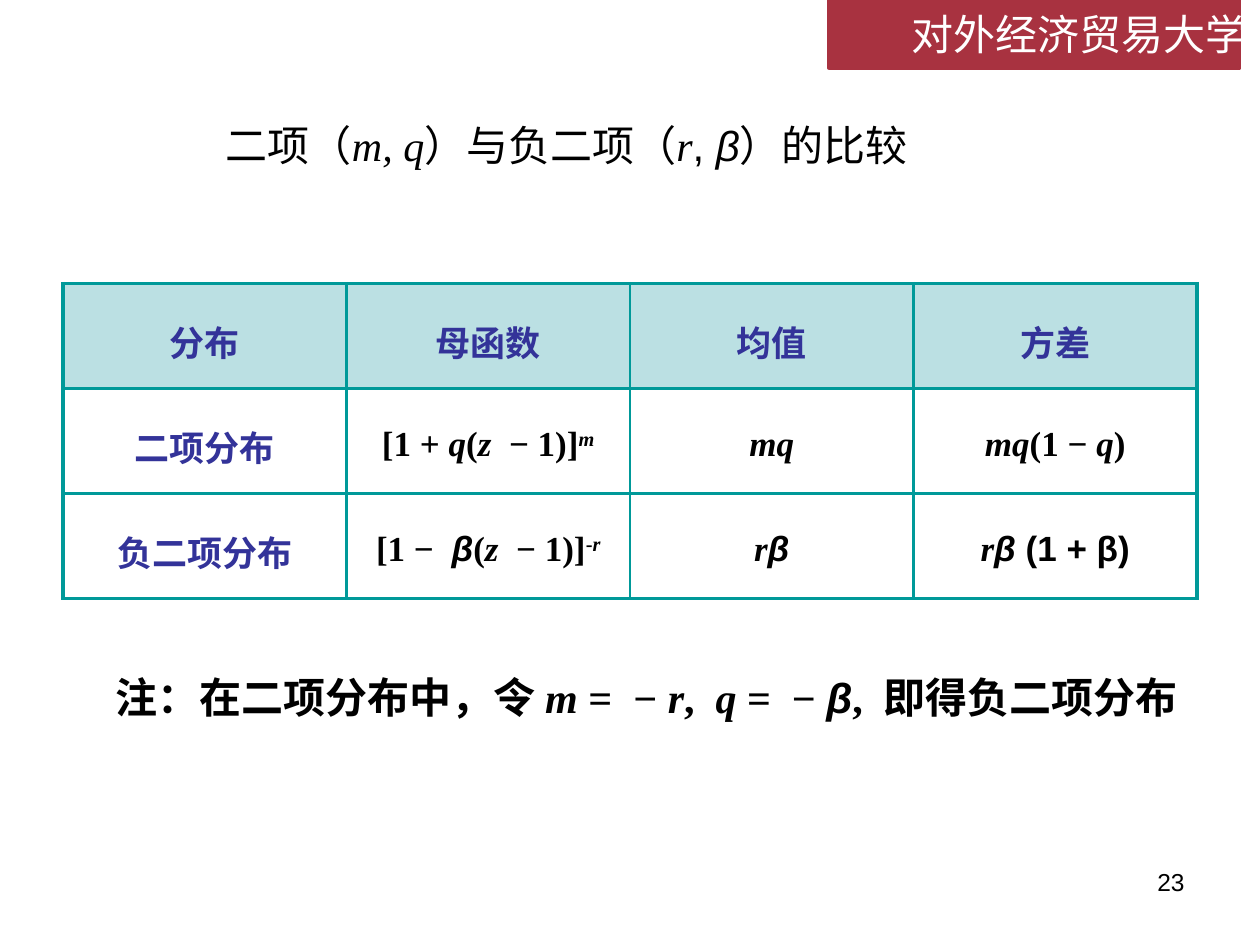
"""Build a slide comparing the binomial and negative binomial distributions."""
import lxml.etree
import pptx
import pptx.dml.color
import pptx.enum.shapes
import pptx.enum.text
import pptx.oxml.ns
import pptx.util

Inches = pptx.util.Inches
Pt = pptx.util.Pt
ALIGN = pptx.enum.text.PP_ALIGN
qn = pptx.oxml.ns.qn
SERIF, SANS, CHINESE = "Times New Roman", "Arial", "Noto Sans CJK SC"
COLORS = {
    "banner": "A83240",
    "white": "FFFFFF",
    "black": "000000",
    "label": "333399",
    "header": "BBE0E3",
    "border": "009999",
}


def color(name):
    return pptx.dml.color.RGBColor.from_string(COLORS[name])


def write(paragraph, runs, size, color_name="black", bold=False, font_name=SERIF):
    """Add (text, flags) runs: i is italic, a is Arial, s is superscript."""
    for text, flags in runs:
        run = paragraph.add_run()
        run.text = text
        values = {
            "size": Pt(size),
            "bold": bold,
            "italic": "i" in flags,
            "name": SANS if "a" in flags else font_name,
        }
        for attribute, value in values.items():
            setattr(run.font, attribute, value)
        run.font.color.rgb = color(color_name)
        properties = run._r.get_or_add_rPr()
        lxml.etree.SubElement(properties, qn("a:ea"), typeface=CHINESE)
        if "s" in flags:
            properties.set("baseline", "30000")


presentation = pptx.Presentation()
presentation.slide_width = Inches(10)
presentation.slide_height = Inches(7.5)
slide = presentation.slides.add_slide(presentation.slide_layouts[6])

banner = slide.shapes.add_shape(
    pptx.enum.shapes.MSO_SHAPE.RECTANGLE,
    Inches(6.58), Inches(-0.02), Inches(3.26), Inches(0.56),
)
banner.shadow.inherit = False
banner.fill.solid()
banner.fill.fore_color.rgb = color("banner")
banner.line.color.rgb = color("banner")
banner.line.width = Pt(2)

title = [
    ("二项（", "a"), ("m, q", "i"), ("）与负二项（", "a"), ("r", "i"),
    (", ", "a"), ("β", "ai"), ("）的比较", "a"),
]
note = [
    ("注：在二项分布中，令 ", ""), ("m ", "i"), ("=  − ", ""), ("r", "i"), (",  ", ""),
    ("q", "i"), (" =  − ", ""), ("β", "ai"), (",  即得负二项分布", ""),
]
text_boxes = [
    ((6.53, 0.02, 4.08, 0.62), ALIGN.CENTER, [("对外经济贸易大学", "")],
     {"size": 24, "color_name": "white", "font_name": CHINESE}),
    ((7.17, 6.83, 2.33, 0.52), ALIGN.RIGHT, [("23", "a")], {"size": 14}),
    ((0, 0.9, 9, 0.63), ALIGN.CENTER, title, {"size": 24}),
    ((0.82, 5.28, 8.67, 0.51), ALIGN.LEFT, note, {"size": 24, "bold": True}),
]
for position, alignment, runs, text_format in text_boxes:
    text_box = slide.shapes.add_textbox(*map(Inches, position))
    text_box.text_frame.word_wrap = True
    paragraph = text_box.text_frame.paragraphs[0]
    paragraph.alignment = alignment
    write(paragraph, runs, **text_format)

rows = [
    [[(heading, "")] for heading in ("分布", "母函数", "均值", "方差")],
    [
        [("二项分布", "")],
        [("[1 + ", ""), ("q", "i"), ("(", ""), ("z ", "i"), (" − 1)]", ""), ("m", "is")],
        [("mq", "i")],
        [("mq", "i"), ("(1 − ", ""), ("q", "i"), (")", "")],
    ],
    [
        [("负二项分布", "")],
        [("[1 −  ", ""), ("β", "ai"), ("(", ""), ("z ", "i"), (" − 1)]", ""),
         ("-", "s"), ("r", "is")],
        [("r", "i"), ("β", "ai")],
        [("r", "i"), ("β ", "ai"), ("(1 + β)", "a")],
    ],
]
table = slide.shapes.add_table(
    len(rows), len(rows[0]), Inches(0.5), Inches(2.25), Inches(9), Inches(2.5)
).table
table.first_row = False
table.horz_banding = False
last_row, last_column = len(rows) - 1, len(rows[0]) - 1

for row_index, row in enumerate(rows):
    for column_index, runs in enumerate(row):
        cell = table.cell(row_index, column_index)
        cell.vertical_anchor = pptx.enum.text.MSO_ANCHOR.MIDDLE
        if row_index == 0:
            cell.fill.solid()
            cell.fill.fore_color.rgb = color("header")
        else:
            cell.fill.background()

        paragraph = cell.text_frame.paragraphs[0]
        paragraph.alignment = ALIGN.CENTER
        paragraph.line_spacing = 1.2
        is_label = row_index == 0 or column_index == 0
        write(paragraph, runs, 20, "label" if is_label else "black", bold=True)

        outer_sides = {
            "lnL": column_index == 0,
            "lnR": column_index == last_column,
            "lnT": row_index == 0,
            "lnB": row_index == last_row,
        }
        cell_properties = cell._tc.get_or_add_tcPr()
        for order, (side, is_outer) in enumerate(outer_sides.items()):
            width = Pt(2.25 if is_outer else 1.5)
            border = lxml.etree.Element(qn(f"a:{side}"), w=str(int(width)))
            fill = lxml.etree.SubElement(border, qn("a:solidFill"))
            lxml.etree.SubElement(fill, qn("a:srgbClr"), val=COLORS["border"])
            cell_properties.insert(order, border)

presentation.save("out.pptx")
